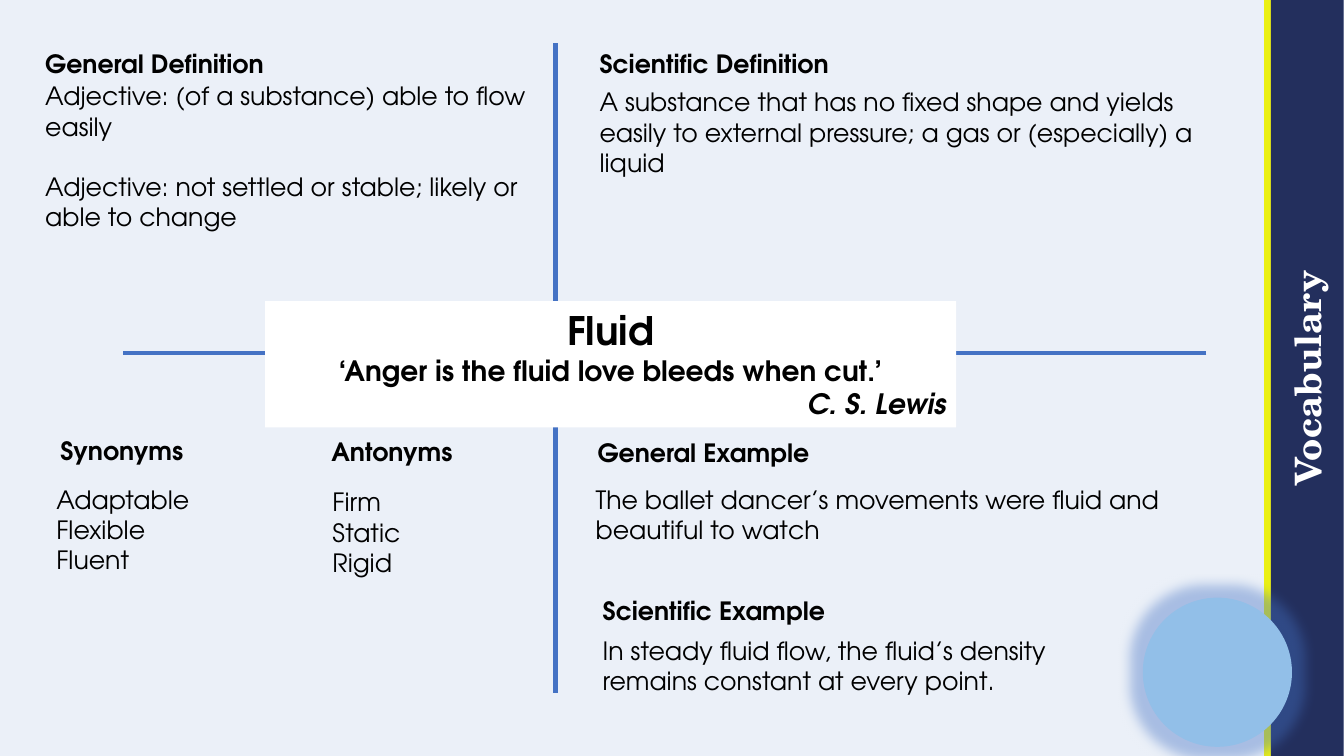
"""Build the vocabulary slide for the word Fluid."""
from dataclasses import dataclass

from lxml.etree import SubElement
from pptx import Presentation
from pptx.dml.color import RGBColor
from pptx.enum.shapes import MSO_CONNECTOR, MSO_SHAPE
from pptx.enum.text import MSO_ANCHOR, PP_ALIGN
from pptx.oxml.ns import qn
from pptx.util import Cm, Pt

SLIDE_WIDTH, SLIDE_HEIGHT = 33.87, 19.05
BAND_TITLE = "Vocabulary"
BAND_LEFT, BAND_WIDTH = 32.03, 1.83
STRIPE_X = 31.95

CARD_AREA = (6.68, 7.59, 17.42, 3.18)
WORD, QUOTE, AUTHOR = "Fluid", "‘Anger is the fluid love bleeds when cut.’", "C. S. Lewis"

DIVIDERS = [(14, 1.09, 14, 17.45), (30.4, 8.89, 3.1, 8.89)]
DOT_AREA = (28.8, 15.06, 3.76, 3.76)

HEADINGS = [
    ("Synonyms", (1.27, 10.85, 6, 1.8)),
    ("General Definition", (0.89, 1.09, 11.07, 1.8)),
    ("Antonyms", (8.1, 10.87, 5.11, 1.8)),
    ("Scientific Definition", (14.86, 1.09, 11.07, 1.8)),
    ("General Example", (14.81, 10.9, 11.07, 1.8)),
    ("Scientific Example", (14.94, 14.88, 11.07, 1.8)),
]
ENTRIES = [
    (["Adjective: (of a substance) able to flow easily",
      "Adjective: not settled or stable; likely or able to change"],
     (0.89, 1.91, 12.88, 4.11), 21.6),
    (["A substance that has no fixed shape and yields easily to external pressure; "
      "a gas or (especially) a liquid"], (14.86, 2.06, 16.33, 2.57), 0),
    (["Adaptable", "Flexible", "Fluent"], (1.17, 12.07, 5.64, 3.33), 0),
    (["Firm", "Static", "Rigid"], (8.13, 12.14, 5.64, 2.57), 0),
    (["The ballet dancer’s movements were fluid and beautiful to watch"],
     (14.76, 12.07, 17.42, 1.8), 0),
    (["In steady fluid flow, the fluid’s density remains constant at every point."],
     (14.94, 15.88, 12.17, 1.8), 0),
]


@dataclass(frozen=True)
class Theme:
    font: str = "TeX Gyre Adventor"
    band_font: str = "TeX Gyre Schola"
    text: str = "000000"
    paper: str = "FFFFFF"
    accent: str = "4472C4"
    stripe: str = "FFFF00"
    band: str = "232F5D"
    dot: str = "92BFE8"
    word_size: int = 28
    band_size: int = 26
    quote_size: int = 20
    body_size: int = 18


THEME = Theme()


def add_block(page, kind, area, color):
    block = page.shapes.add_shape(kind, *map(Cm, area))
    block.shadow.inherit = False
    block.fill.solid()
    block.fill.fore_color.rgb = RGBColor.from_string(color)
    block.line.fill.background()
    return block


def add_line(page, ends, color, width):
    line = page.shapes.add_connector(MSO_CONNECTOR.STRAIGHT, *map(Cm, ends))
    line.line.color.rgb = RGBColor.from_string(color)
    line.line.width = Pt(width)
    SubElement(line._element.spPr, qn("a:effectLst"))


def style(para, size, bold=False, italic=False, align=PP_ALIGN.LEFT,
          font=THEME.font, color=THEME.text):
    para.alignment = align
    para.font.name = font
    para.font.size = Pt(size)
    para.font.bold = bold
    para.font.italic = italic
    para.font.color.rgb = RGBColor.from_string(color)


def add_text(page, lines, area, bold=False, gap=0):
    frame = page.shapes.add_textbox(*map(Cm, area)).text_frame
    frame.word_wrap = True
    frame.text = "\n".join(lines)
    for index, para in enumerate(frame.paragraphs):
        style(para, THEME.body_size, bold)
        if index and gap:
            para.space_before = Pt(gap)


def set_alpha(color_element, percent):
    SubElement(color_element, qn("a:alpha"), val=str(percent * 1000))


def add_backdrop(page):
    page.background.fill.solid()
    page.background.fill.fore_color.rgb = RGBColor.from_string(THEME.paper)
    add_line(page, (STRIPE_X, 0, STRIPE_X, SLIDE_HEIGHT), THEME.stripe, 6)
    tint = add_block(page, MSO_SHAPE.RECTANGLE, (0, 0, SLIDE_WIDTH, SLIDE_HEIGHT), THEME.accent)
    set_alpha(tint._element.spPr.find(qn("a:solidFill"))[0], 10)

    left = BAND_LEFT + (BAND_WIDTH - SLIDE_HEIGHT) / 2
    top = (SLIDE_HEIGHT - BAND_WIDTH) / 2
    band = add_block(page, MSO_SHAPE.RECTANGLE, (left, top, SLIDE_HEIGHT, BAND_WIDTH), THEME.band)
    band.rotation = 270
    frame = band.text_frame
    frame.margin_left = frame.margin_right = frame.margin_top = frame.margin_bottom = 0
    frame.vertical_anchor = MSO_ANCHOR.MIDDLE
    frame.text = BAND_TITLE
    style(frame.paragraphs[0], THEME.band_size, True, align=PP_ALIGN.CENTER,
          font=THEME.band_font, color=THEME.paper)

    dot = add_block(page, MSO_SHAPE.OVAL, DOT_AREA, THEME.dot)
    effects = dot._element.spPr.find(qn("a:effectLst"))
    glow = SubElement(effects, qn("a:glow"), rad=str(Pt(18)))
    set_alpha(SubElement(glow, qn("a:srgbClr"), val=THEME.accent), 40)


def add_word_card(page):
    frame = add_block(page, MSO_SHAPE.RECTANGLE, CARD_AREA, THEME.paper).text_frame
    frame.word_wrap = True
    frame.vertical_anchor = MSO_ANCHOR.TOP
    frame.text = "\n".join([WORD, QUOTE, AUTHOR])
    word, quote, author = frame.paragraphs
    style(word, THEME.word_size, True, align=PP_ALIGN.CENTER)
    style(quote, THEME.quote_size, True, align=PP_ALIGN.CENTER)
    style(author, THEME.quote_size, True, True, PP_ALIGN.RIGHT)


def main():
    deck = Presentation()
    deck.slide_width, deck.slide_height = Cm(SLIDE_WIDTH), Cm(SLIDE_HEIGHT)
    page = deck.slides.add_slide(deck.slide_layouts[6])
    add_backdrop(page)
    for ends in DIVIDERS:
        add_line(page, ends, THEME.accent, 3)
    for heading, area in HEADINGS:
        add_text(page, [heading], area, bold=True)
    for lines, area, gap in ENTRIES:
        add_text(page, lines, area, gap=gap)
    add_word_card(page)
    deck.save("out.pptx")


if __name__ == "__main__":
    main()
